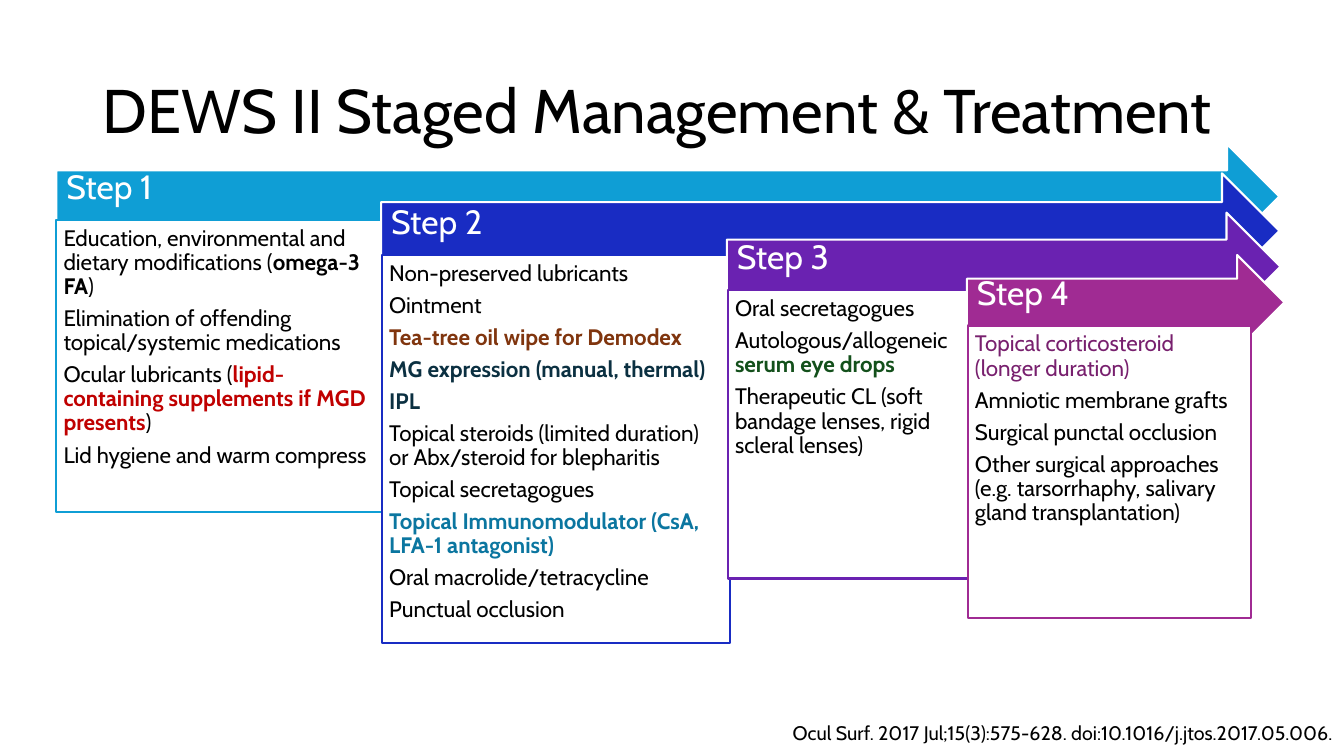
from pptx import Presentation
from pptx.dml.color import RGBColor
from pptx.enum.shapes import MSO_SHAPE
from pptx.enum.text import MSO_ANCHOR, MSO_AUTO_SIZE, PP_ALIGN
from pptx.util import Emu, Pt

PX = 9144  # one px is a hundredth of an inch
ARROW, RECTANGLE = MSO_SHAPE.RIGHT_ARROW, MSO_SHAPE.RECTANGLE
TOP, MIDDLE = MSO_ANCHOR.TOP, MSO_ANCHOR.MIDDLE
LEFT, RIGHT = PP_ALIGN.LEFT, PP_ALIGN.RIGHT
TITLE_ONLY = 5
FONT = "Cabin"

BLACK = RGBColor(0x00, 0x00, 0x00)
WHITE = RGBColor(0xFF, 0xFF, 0xFF)
SKY = RGBColor(0x0F, 0x9E, 0xD5)
BLUE = RGBColor(0x19, 0x2C, 0xC3)
VIOLET = RGBColor(0x6A, 0x22, 0xB1)
MAGENTA = RGBColor(0xA0, 0x2B, 0x93)
RED = RGBColor(0xC0, 0x00, 0x00)
BROWN = RGBColor(0x80, 0x35, 0x0E)
NAVY = RGBColor(0x0B, 0x30, 0x41)
TEAL = RGBColor(0x0B, 0x76, 0xA0)
GREEN = RGBColor(0x13, 0x50, 0x1B)
PLUM = RGBColor(0x78, 0x20, 0x6E)

# Each step: colour, arrow place, box place, treatments.
# A treatment is a list of (text, colour, bold) spans.
STEPS = [
    (SKY, (56, 143, 1213, 104), (56, 218, 325, 290), [
        [("Education, environmental and dietary modifications (", BLACK, False),
         ("omega-3 FA", BLACK, True), (")", BLACK, False)],
        [("Elimination of offending topical/systemic medications", BLACK, False)],
        [("Ocular lubricants (", BLACK, False),
         ("lipid-containing supplements if MGD presents", RED, True),
         (")", BLACK, False)],
        [("Lid hygiene and warm compress", BLACK, False)],
    ]),
    (BLUE, (378, 172, 891, 114), (379, 253, 345, 385), [
        [("Non-preserved lubricants", BLACK, False)],
        [("Ointment", BLACK, False)],
        [("Tea-tree oil wipe for Demodex", BROWN, True)],
        [("MG expression (manual, thermal)", NAVY, True)],
        [("IPL", NAVY, True)],
        [("Topical steroids (limited duration) or Abx/steroid for blepharitis",
          BLACK, False)],
        [("Topical secretagogues", BLACK, False)],
        [("Topical Immunomodulator (CsA, LFA-1 antagonist)", TEAL, True)],
        [("Oral macrolide/tetracycline", BLACK, False)],
        [("Punctual occlusion", BLACK, False)],
    ]),
    (VIOLET, (721, 211, 549, 107), (722, 288, 252, 286), [
        [("Oral secretagogues", BLACK, False)],
        [("Autologous/allogeneic ", BLACK, False), ("serum eye drops", GREEN, True)],
        [("Therapeutic CL (soft bandage lenses, rigid scleral lenses)", BLACK, False)],
    ]),
    (MAGENTA, (959, 253, 315, 94), (960, 323, 281, 290), [
        [("Topical corticosteroid (longer duration)", PLUM, False)],
        [("Amniotic membrane grafts", BLACK, False)],
        [("Surgical punctal occlusion", BLACK, False)],
        [("Other surgical approaches (e.g. tarsorrhaphy, salivary gland transplantation)",
          BLACK, False)],
    ]),
]


def px(*lengths):
    return [Emu(length * PX) for length in lengths]


def set_frame(frame, anchor, insets):
    frame.word_wrap = True
    frame.auto_size = MSO_AUTO_SIZE.NONE
    frame.vertical_anchor = anchor
    (frame.margin_left, frame.margin_top,
     frame.margin_right, frame.margin_bottom) = px(*insets)


def write_para(para, spans, size, align=LEFT, line_spacing=0.9, space_after=0):
    para.alignment = align
    para.line_spacing = line_spacing
    para.space_after = Pt(space_after)
    para.font.name = FONT
    para.font.size = Pt(size)
    styles = {(colour, bold) for _, colour, bold in spans}
    for text, colour, bold in spans:
        span = para.add_run()
        span.text = text
        font = para.font if len(styles) == 1 else span.font
        font.color.rgb = colour
        font.bold = bold


def add_panel(page, kind, place, fill, line):
    panel = page.shapes.add_shape(kind, *px(*place))
    panel.shadow.inherit = False
    panel.fill.solid()
    panel.fill.fore_color.rgb = fill
    panel.line.color.rgb = line
    panel.line.width = Pt(1.5)
    return panel


def add_step(page, number, colour, arrow_place, box_place, treatments):
    # Arrow with the step's name
    arrow = add_panel(page, ARROW, arrow_place, colour, WHITE)
    set_frame(arrow.text_frame, MIDDLE, (10, 10, 28, 25))
    write_para(arrow.text_frame.paragraphs[0], [(f"Step {number}", WHITE, False)], 24)

    # Box with the treatments
    box = add_panel(page, RECTANGLE, box_place, WHITE, colour)
    frame = box.text_frame
    set_frame(frame, TOP, (7, 7, 7, 7))
    for index, spans in enumerate(treatments):
        para = frame.add_paragraph() if index else frame.paragraphs[0]
        write_para(para, spans, 16, space_after=5.6)


def set_title(page, text):
    title = page.shapes.title
    title.left, title.top, title.width, title.height = px(92, 40, 1150, 145)
    set_frame(title.text_frame, MIDDLE, (10, 5, 10, 5))
    write_para(title.text_frame.paragraphs[0], [(text, BLACK, False)], 44)


def add_citation(page, text):
    box = page.shapes.add_textbox(*px(178, 710, 1154, 34))
    set_frame(box.text_frame, TOP, (10, 5, 10, 5))
    write_para(box.text_frame.paragraphs[0], [(text, BLACK, False)], 14, RIGHT, 1.0)


def main():
    deck = Presentation()
    deck.slide_width, deck.slide_height = px(1333, 750)
    page = deck.slides.add_slide(deck.slide_layouts[TITLE_ONLY])

    set_title(page, "DEWS II Staged Management & Treatment")
    for number, step in enumerate(STEPS, start=1):
        add_step(page, number, *step)
    add_citation(page, "Ocul Surf. 2017 Jul;15(3):575-628. doi:10.1016/j.jtos.2017.05.006.")

    deck.save("out.pptx")


if __name__ == "__main__":
    main()
